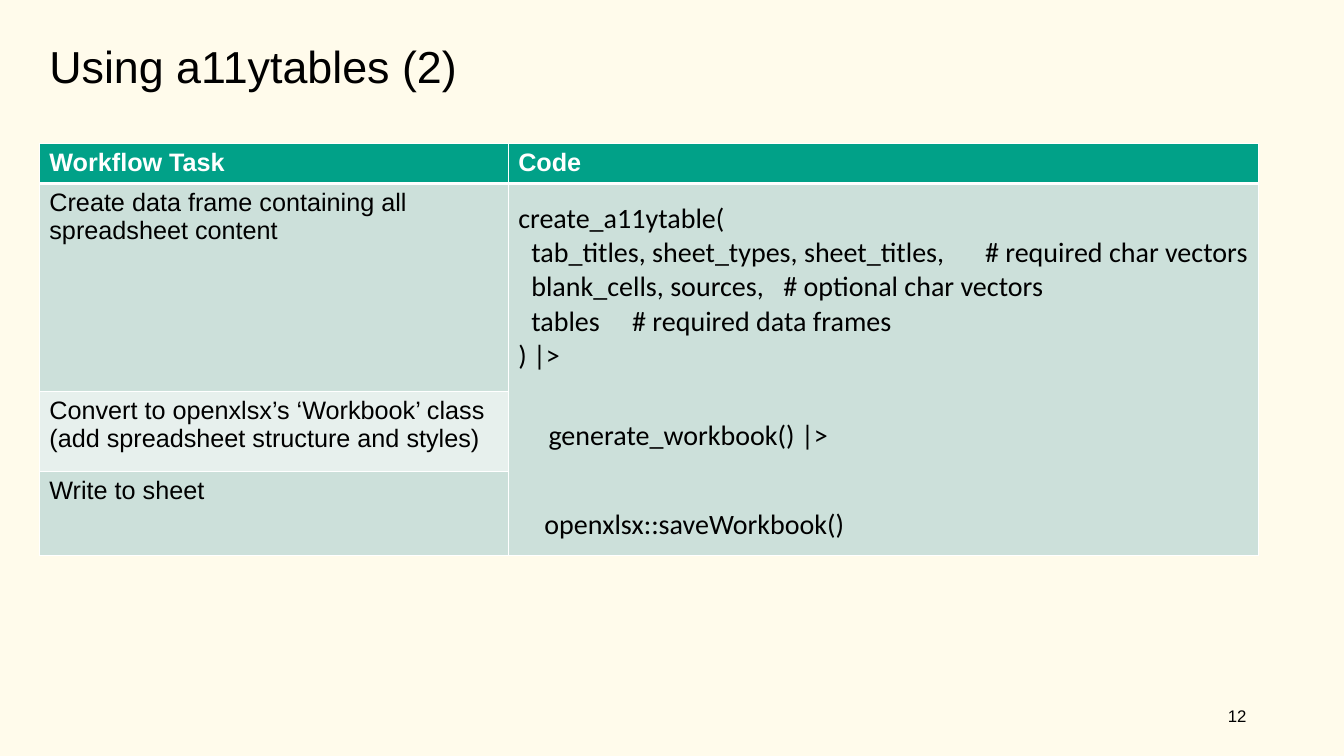
from dataclasses import dataclass

from lxml import etree
from pptx import Presentation
from pptx.dml.color import RGBColor
from pptx.enum import text
from pptx.oxml import ns
from pptx.util import Inches, Pt


@dataclass(frozen=True)
class Theme:
    background: str = "FFFBEB"
    header: str = "01A188"
    band_dark: str = "CCE0DA"
    band_light: str = "E7F0ED"
    ink: str = "000000"
    white: str = "FFFFFF"
    body_font: str = "Arial"
    code_font: str = "Calibri"
    title_size: int = 32
    code_size: int = 20
    body_size: int = 18
    number_size: int = 12


@dataclass(frozen=True)
class CodeLine:
    code: str
    comment: str = ""
    indent: float = 0
    gap: int = 0


@dataclass(frozen=True)
class Task:
    lines: tuple[str, ...]
    height: float
    fill: str


THEME = Theme()
COLUMN_WIDTHS = (4.65, 7.44)
HEADER_HEIGHT = 0.37
COMMENT_EDGE = 7.01
HEADINGS = ("Workflow Task", "Code")
TASKS = (
    Task(("Create data frame containing all spreadsheet content",), 2.06, THEME.band_dark),
    Task(("Convert to openxlsx’s ‘Workbook’ class",
          "(add spreadsheet structure and styles)"), 0.8, THEME.band_light),
    Task(("Write to sheet",), 0.83, THEME.band_dark),
)
CODE = (
    CodeLine("create_a11ytable("),
    CodeLine("tab_titles, sheet_types, sheet_titles,", "# required char vectors", 0.13),
    CodeLine("blank_cells, sources,", "# optional char vectors", 0.13),
    CodeLine("tables", "# required data frames", 0.13),
    CodeLine(") |>"),
    CodeLine("generate_workbook() |>", indent=0.3, gap=33),
    CodeLine("openxlsx::saveWorkbook()", indent=0.26, gap=39),
)


def write(para, content: str, *, size: int, font: str = THEME.body_font,
          color: str = THEME.ink, bold: bool = False) -> None:
    span = para.add_run()
    span.text = content
    span.font.size = Pt(size)
    span.font.name = font
    span.font.bold = bold
    span.font.color.rgb = RGBColor.from_string(color)


def next_para(frame, index: int):
    """Return the frame's first paragraph for index 0, otherwise a new one."""
    return frame.add_paragraph() if index else frame.paragraphs[0]


def add_label(page, content: str, left: float, top: float, width: float, height: float,
              *, size: int, anchor: text.MSO_ANCHOR, spacing: float = 1.0) -> None:
    box = page.shapes.add_textbox(*map(Inches, (left, top, width, height)))
    frame = box.text_frame
    frame.word_wrap = True
    frame.vertical_anchor = anchor
    frame.paragraphs[0].line_spacing = spacing
    write(frame.paragraphs[0], content, size=size)


def style_cell(cell, fill: str, *, top: int = 1, bottom: int = 1) -> None:
    """Set white borders, with top and bottom widths in points, then the fill."""
    properties = cell._tc.get_or_add_tcPr()
    for side, width in (("L", 1), ("R", 1), ("T", top), ("B", bottom)):
        line = etree.SubElement(properties, ns.qn(f"a:ln{side}"), w=str(Pt(width)))
        solid = etree.SubElement(line, ns.qn("a:solidFill"))
        etree.SubElement(solid, ns.qn("a:srgbClr"), val=THEME.white)
    cell.fill.solid()
    cell.fill.fore_color.rgb = RGBColor.from_string(fill)


def write_code(cell) -> None:
    cell.margin_top = Inches(0.18)
    for index, line in enumerate(CODE):
        para = next_para(cell.text_frame, index)
        para.space_before = Pt(line.gap)
        properties = para._p.get_or_add_pPr()
        properties.set("marL", str(Inches(line.indent)))
        properties.set("indent", "0")
        content = line.code
        if line.comment:
            stops = etree.SubElement(properties, ns.qn("a:tabLst"))
            etree.SubElement(stops, ns.qn("a:tab"), pos=str(Inches(COMMENT_EDGE)), algn="r")
            content += "\t" + line.comment
        write(para, content, size=THEME.code_size, font=THEME.code_font)


def add_workflow_table(page) -> None:
    heights = (HEADER_HEIGHT, *(task.height for task in TASKS))
    table = page.shapes.add_table(
        len(heights), len(COLUMN_WIDTHS), Inches(0.39), Inches(1.42),
        Inches(sum(COLUMN_WIDTHS)), Inches(sum(heights))).table
    for column, width in zip(table.columns, COLUMN_WIDTHS):
        column.width = Inches(width)
    for row, height in zip(table.rows, heights):
        row.height = Inches(height)

    for column, heading in enumerate(HEADINGS):
        cell = table.cell(0, column)
        style_cell(cell, THEME.header, bottom=3)
        write(cell.text_frame.paragraphs[0], heading, size=THEME.body_size,
              color=THEME.white, bold=True)
    for row, task in enumerate(TASKS, start=1):
        top = 3 if row == 1 else 1
        cell = table.cell(row, 0)
        style_cell(cell, task.fill, top=top)
        style_cell(table.cell(row, 1), THEME.band_dark, top=top)
        for index, line in enumerate(task.lines):
            write(next_para(cell.text_frame, index), line, size=THEME.body_size)
    code_cell = table.cell(1, 1)
    code_cell.merge(table.cell(len(TASKS), 1))
    write_code(code_cell)


def main() -> None:
    deck = Presentation()
    deck.slide_width, deck.slide_height = Inches(13.33), Inches(7.5)
    page = deck.slides.add_slide(deck.slide_layouts[6])
    page.background.fill.solid()
    page.background.fill.fore_color.rgb = RGBColor.from_string(THEME.background)
    add_label(page, "12", 12.08, 6.95, 0.83, 0.4,
              size=THEME.number_size, anchor=text.MSO_ANCHOR.TOP)
    add_label(page, "Using a11ytables (2)", 0.39, 0.39, 12.52, 0.59,
              size=THEME.title_size, anchor=text.MSO_ANCHOR.MIDDLE, spacing=0.9)
    add_workflow_table(page)
    deck.save("out.pptx")


if __name__ == "__main__":
    main()
